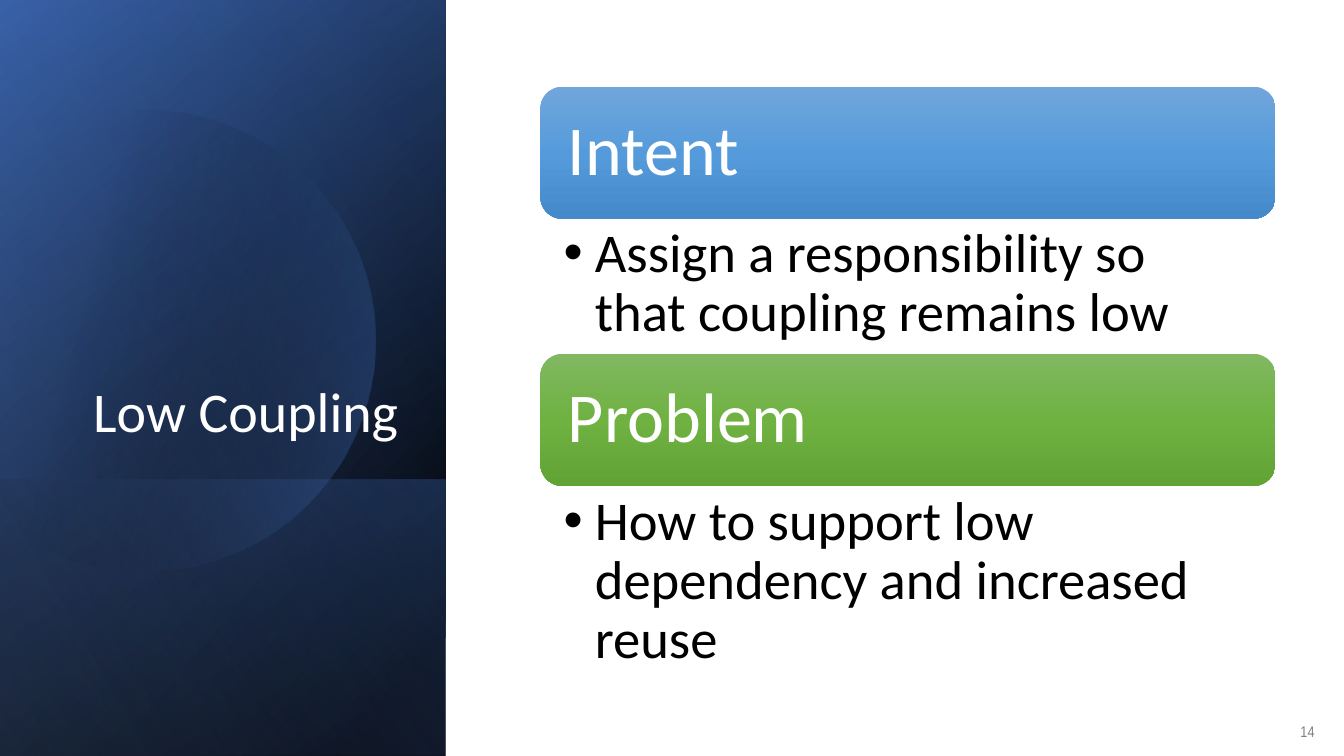
"""Build the Low Coupling slide with its gradient side panel and two topics."""
import math
from dataclasses import dataclass

from pptx import Presentation, dml, oxml, util as u
from pptx.dml import color
from pptx.enum import shapes, text
from pptx.oxml import ns

Stops = list[tuple[int, str, int]]


@dataclass
class Panel:
    left: float
    top: float
    width: float
    height: float
    stops: Stops
    angle: int


@dataclass
class Topic:
    heading: str
    detail: str
    top: float
    detail_height: float
    shades: tuple[str, str, str]


FULL = (-1.54, 1.54, 7.5, 4.42)
PANELS = [
    Panel(*FULL, [(8, "000000", 100), (100, "2F5597", 100)], 50),
    Panel(*FULL, [(0, "000000", 0), (99, "4472C4", 46)], 30),
    Panel(0.84, 3.92, 2.74, 4.42, [(2, "4472C4", 29), (100, "000000", 30)], 130),
]
GLOW = Panel(*FULL, [(0, "000000", 0), (99, "8FAADC", 11)], 120)
CIRCLE_STOPS = [(29, "000000", 0), (100, "4472C4", 43)]
TOPICS = [
    Topic("Intent", "Assign a responsibility so that coupling remains low",
          0.86, 1.33, ("71A6DB", "559BDB", "448ACA")),
    Topic("Problem", "How to support low dependency and increased reuse",
          3.51, 1.92, ("81B861", "6FB242", "62A336")),
]
TOPIC_LEFT, TOPIC_WIDTH, BAR_HEIGHT = 5.36, 7.29, 1.31


def rgb(value: str) -> color.RGBColor:
    return color.RGBColor.from_string(value)


def place(shape, left: float, top: float, width: float, height: float) -> None:
    box = {"left": left, "top": top, "width": width, "height": height}
    for name, inches in box.items():
        setattr(shape, name, u.Inches(inches))


def paint(shape, stops: Stops, angle: int) -> None:
    shape.shadow.inherit = False
    shape.line.fill.background()
    shape.fill.background()
    marks = "".join(
        f'<a:gs pos="{pos * 1000}"><a:srgbClr val="{rgb(tone)}">'
        f'<a:alpha val="{alpha * 1000}"/></a:srgbClr></a:gs>'
        for pos, tone, alpha in stops)
    gradient = oxml.parse_xml(
        f'<a:gradFill {ns.nsdecls("a")} rotWithShape="1"><a:gsLst>{marks}</a:gsLst>'
        f'<a:lin ang="{angle * 60000}" scaled="0"/></a:gradFill>')
    properties = shape.element.spPr
    properties.replace(properties.find(ns.qn("a:noFill")), gradient)


def write(shape, words: str, size: float, tone: str, font: str = "Calibri",
          frame_format: dict | None = None, paragraph_format: dict | None = None):
    frame = shape.text_frame
    frame.text = words
    paragraph = frame.paragraphs[0]
    formats = [
        (frame, {"word_wrap": True, "auto_size": text.MSO_AUTO_SIZE.NONE,
                 **(frame_format or {})}),
        (paragraph, {"alignment": text.PP_ALIGN.LEFT, "line_spacing": 0.9,
                     "space_before": u.Pt(0), **(paragraph_format or {})}),
        (paragraph.runs[0].font, {"name": font, "size": u.Pt(size), "bold": False}),
    ]
    for target, values in formats:
        for name, value in values.items():
            setattr(target, name, value)
    paragraph.runs[0].font.color.rgb = rgb(tone)
    return paragraph


def margins(left: float, top: float, right: float, bottom: float) -> dict:
    sides = {"left": left, "top": top, "right": right, "bottom": bottom}
    return {f"margin_{side}": u.Inches(inches) for side, inches in sides.items()}


def draw_panel(slide, panel: Panel) -> None:
    backdrop = slide.shapes.add_shape(
        shapes.MSO_SHAPE.RECTANGLE, *map(u.Inches, (
            panel.left, panel.top, panel.width, panel.height)))
    backdrop.rotation = 90
    backdrop.element.spPr.xfrm.set("flipH", "1")
    paint(backdrop, panel.stops, panel.angle)
    slide.shapes.title.element.addprevious(backdrop.element)


def draw_circle(slide) -> None:
    center_x, center_y, radius, left_edge, steps = 1.43, 3.38, 2.29, -0.15, 90
    reach = math.acos((left_edge - center_x) / radius)
    angles = [reach * (2 * step / steps - 1) for step in range(steps + 1)]
    points = [(u.Inches(center_x + radius * math.cos(angle)),
               u.Inches(center_y + radius * math.sin(angle))) for angle in angles]
    builder = slide.shapes.build_freeform(*points[0])
    builder.add_line_segments(points[1:], close=True)
    circle = builder.convert_to_shape()
    paint(circle, CIRCLE_STOPS, 14)
    slide.shapes.title.element.addprevious(circle.element)


def draw_topic(slide, topic: Topic, listing) -> None:
    bar = slide.shapes.add_shape(
        shapes.MSO_SHAPE.ROUNDED_RECTANGLE, *map(u.Inches, (
            TOPIC_LEFT, topic.top, TOPIC_WIDTH, BAR_HEIGHT)))
    paint(bar, [(50 * i, shade, 100) for i, shade in enumerate(topic.shades)], 90)
    write(bar, topic.heading, 50, "FFFFFF", frame_format={
        "vertical_anchor": text.MSO_ANCHOR.MIDDLE, **margins(0.21, 0.21, 0.21, 0.21)})

    place(listing, TOPIC_LEFT, topic.top + BAR_HEIGHT, TOPIC_WIDTH, topic.detail_height)
    paragraph = write(listing, topic.detail, 39, "000000", frame_format={
        "vertical_anchor": text.MSO_ANCHOR.TOP, **margins(0.23, 0.07, 0.39, 0.07)})
    properties = paragraph._p.get_or_add_pPr()
    indent = u.Inches(0.31)
    properties.set("marL", str(indent))
    properties.set("indent", str(-indent))
    for bullet in ('buFont {} typeface="Arial"', 'buChar {} char="•"'):
        properties.append(oxml.parse_xml(f'<a:{bullet.format(ns.nsdecls("a"))}/>'))


def main() -> None:
    deck = Presentation()
    deck.slide_width, deck.slide_height = u.Inches(13.33), u.Inches(7.5)
    slide = deck.slides.add_slide(deck.slide_layouts.get_by_name("Two Content"))
    title, *listings = list(slide.placeholders)[:3]

    for panel in PANELS:
        draw_panel(slide, panel)
    draw_circle(slide)
    draw_panel(slide, GLOW)

    place(title, 0.64, 1.84, 3.41, 2.62)
    write(title, "Low Coupling", 40, "FFFFFF",
          frame_format={"vertical_anchor": text.MSO_ANCHOR.BOTTOM},
          paragraph_format={"alignment": text.PP_ALIGN.RIGHT})

    for topic, listing in zip(TOPICS, listings):
        draw_topic(slide, topic, listing)

    page_number = slide.shapes.add_textbox(*map(u.Inches, (12.8, 7.06, 0.49, 0.4)))
    write(page_number, "14", 11, "808080", "Arial Narrow",
          {"vertical_anchor": text.MSO_ANCHOR.MIDDLE},
          {"line_spacing": 1.0, "space_after": u.Pt(6)})
    deck.save("out.pptx")


if __name__ == "__main__":
    main()
